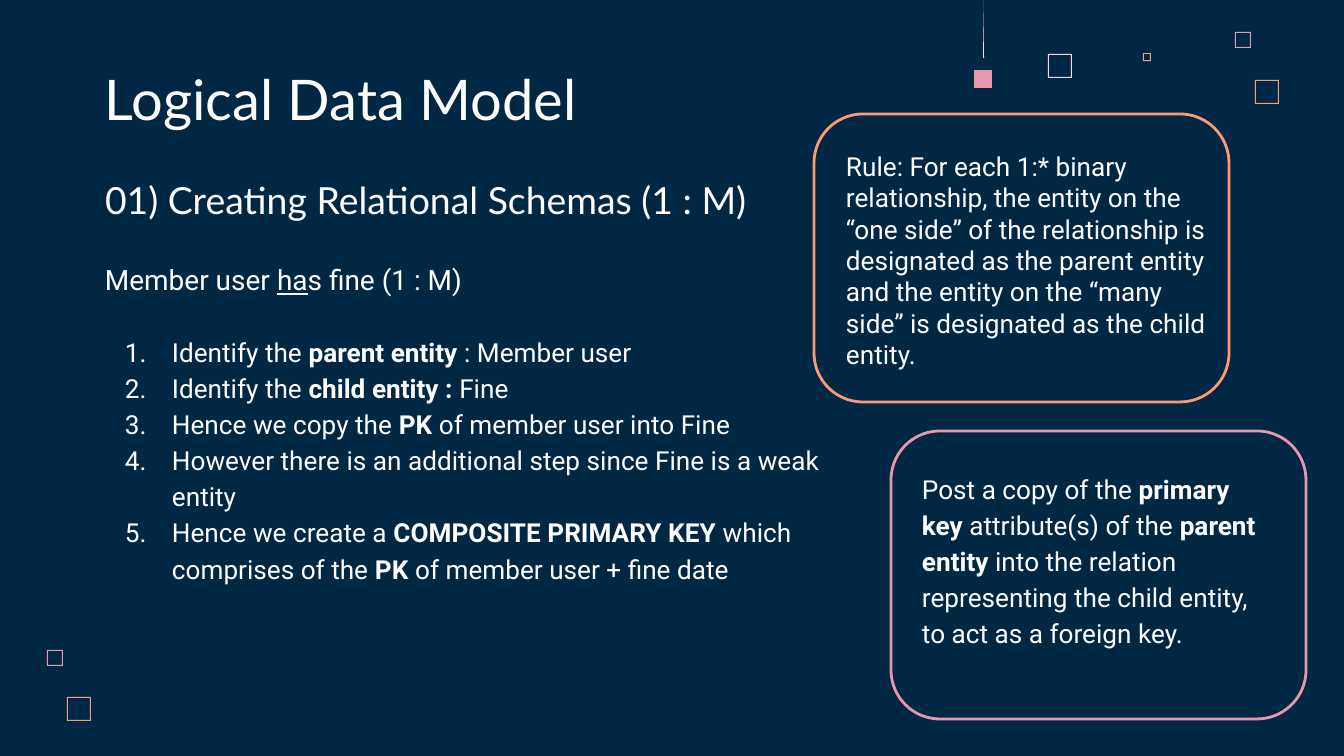
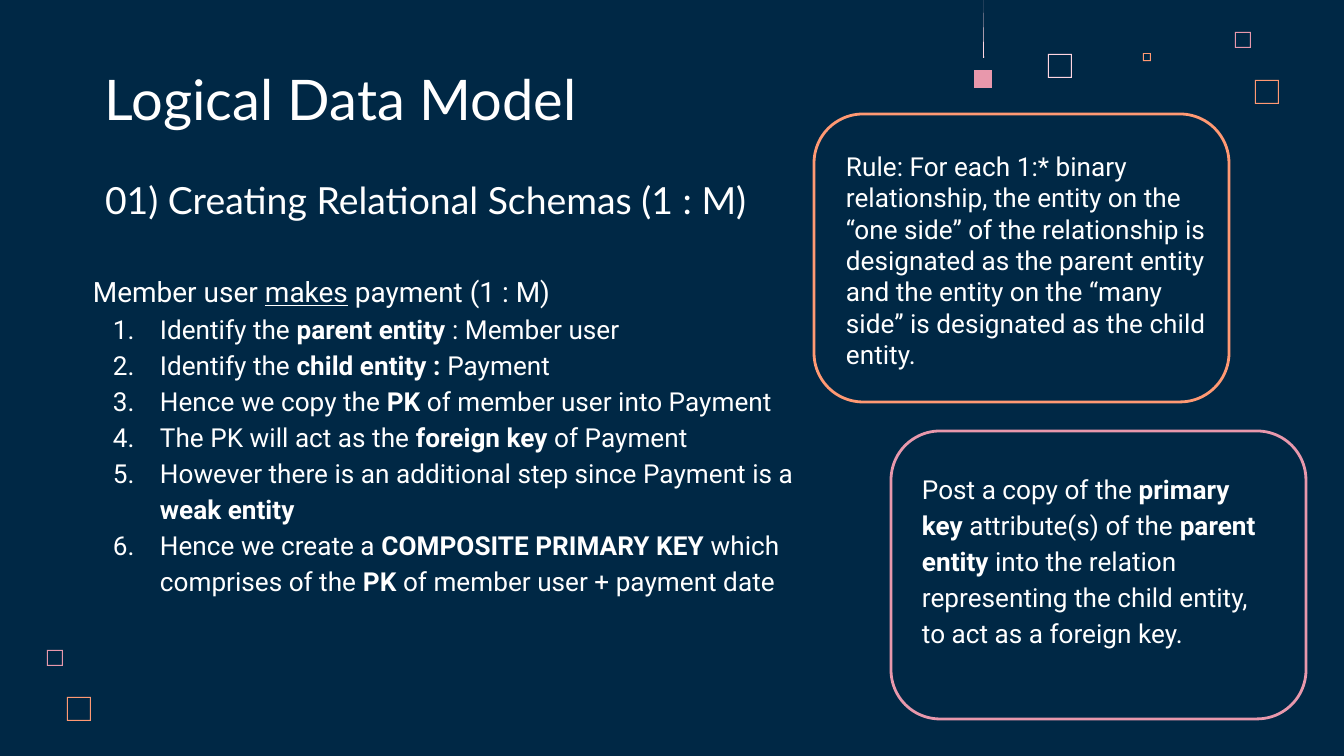
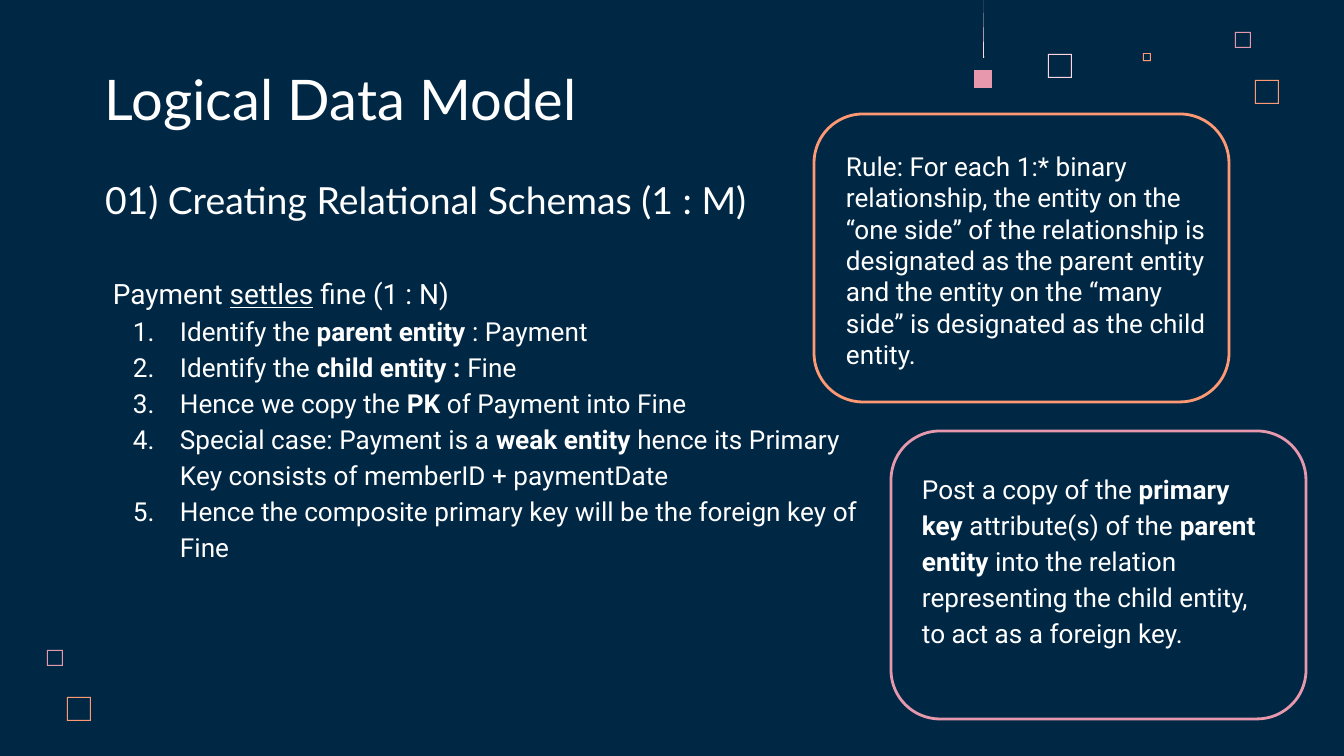
"""Build three slides on relational schemas for one-to-many relationships."""
from lxml import etree
from pptx import Presentation, util as u
from pptx.dml.color import RGBColor
from pptx.enum import shapes, text as t
from pptx.oxml import ns

PX = 914400 / 134.4
INSET = 13
LIST_INDENT, LIST_HANG = 67, 47

NAVY = RGBColor(0x00, 0x28, 0x45)
WHITE = RGBColor(0xFF, 0xFF, 0xFF)
BLUSH = RGBColor(0xFF, 0xD6, 0xE1)
PINK = RGBColor(0xE8, 0x98, 0xAC)
ORANGE = RGBColor(0xFF, 0x99, 0x73)

TITLE = "Logical Data Model"
SUBTITLE = "01) Creating Relational Schemas (1 : M)"
RULE = ("Rule: For each 1:* binary relationship, the entity on the “one side” of the "
        "relationship is designated as the parent entity and the entity on the "
        "“many side” is designated as the child entity.")
POST = ("Post a copy of the **primary key** attribute(s) of the **parent entity** into the "
        "relation representing the child entity, to act as a foreign key.")

RELATIONSHIPS = [
    {
        "box": (92, 245, 772, 387),
        "heading": "Member user **ha**s fine (1 : M)",
        "heading_format": {"spacing": 1.15, "after": 19},
        "steps": [
            "Identify the **parent entity** : Member user",
            "Identify the **child entity : **Fine",
            "Hence we copy the **PK** of member user into Fine",
            "However there is an additional step since Fine is a weak entity",
            "Hence we create a **COMPOSITE PRIMARY KEY **which comprises of the "
            "**PK **of member user + fine date",
        ],
    },
    {
        "box": (80, 245, 772, 387),
        "heading": "Member user **makes** payment (1 : M)",
        "heading_format": {"spacing": 1.5},
        "steps": [
            "Identify the **parent entity** : Member user",
            "Identify the **child entity : **Payment",
            "Hence we copy the **PK** of member user into Payment",
            "The PK will act as the **foreign key **of Payment",
            "However there is an additional step since Payment is a **weak entity**",
            "Hence we create a **COMPOSITE PRIMARY KEY **which comprises of the "
            "**PK **of member user + payment date",
        ],
    },
    {
        "box": (100, 247, 772, 427),
        "heading": "Payment **settles** fine (1 : N)",
        "heading_format": {"spacing": 1.5},
        "steps": [
            "Identify the **parent entity** : Payment",
            "Identify the **child entity : **Fine",
            "Hence we copy the **PK** of Payment into Fine",
            "Special case: Payment is a **weak entity **hence its Primary Key consists of "
            "memberID + paymentDate",
            "Hence the composite primary key will be the foreign key of Fine",
        ],
    },
]

HOLLOW_SQUARES = [
    (1048, 54, 24, BLUSH),
    (1235, 32, 16, PINK),
    (1143, 53, 8, ORANGE),
    (1255, 80, 24, ORANGE),
    (47, 650, 16, PINK),
    (67, 697, 24, ORANGE),
]
PIN_HEAD = (974, 70, 18)
PIN_LINE = [(983, 0), (983, 58), (984, 58)]
CARDS = [(814, 114, ORANGE), (891, 431, PINK)]
CARD_SIZE = (415, 288)


def px(length):
    return u.Emu(round(length * PX))


def square(left, top, side):
    right, bottom = left + side, top + side
    return [(left, top), (left, bottom), (right, bottom), (right, top)]


def add_outline(slide, color, *contours):
    builder = slide.shapes.build_freeform(*contours[0][0], scale=PX)
    builder.add_line_segments(contours[0][1:])
    for contour in contours[1:]:
        builder.move_to(*contour[0])
        builder.add_line_segments(contour[1:])
    shape = builder.convert_to_shape()
    shape.shadow.inherit = False
    shape.fill.solid()
    shape.fill.fore_color.rgb = color
    shape.line.fill.background()


def add_decorations(slide):
    for left, top, side, color in HOLLOW_SQUARES:
        inner = square(left + 1, top + 1, side - 2)
        add_outline(slide, color, square(left, top, side), inner[::-1])
    add_outline(slide, PINK, square(*PIN_HEAD))
    add_outline(slide, BLUSH, PIN_LINE)


def add_frame(slide, box, anchor=t.MSO_ANCHOR.TOP):
    frame = slide.shapes.add_textbox(*map(px, box)).text_frame
    frame.word_wrap = True
    frame.vertical_anchor = anchor
    frame.margin_left = frame.margin_right = px(INSET)
    frame.margin_top = frame.margin_bottom = px(INSET)
    return frame


def write(paragraph, content, size=14, font="Roboto", spacing=1.0, after=0,
          emphasis="bold", numbered=False):
    paragraph.line_spacing = spacing
    paragraph.space_after = u.Pt(after)
    for index, part in enumerate(content.split("**")):
        if part:
            run = paragraph.add_run()
            run.text = part
            run.font.size = u.Pt(size)
            run.font.name = font
            run.font.color.rgb = WHITE
            if index % 2:
                setattr(run.font, emphasis, True)
    if numbered:
        properties = paragraph._p.get_or_add_pPr()
        properties.set("marL", str(px(LIST_INDENT)))
        properties.set("indent", str(-px(LIST_HANG)))
        number = etree.SubElement(properties, ns.qn("a:buAutoNum"))
        number.set("type", "arabicPeriod")


def add_cards(slide):
    for left, top, color in CARDS:
        card = slide.shapes.add_shape(
            shapes.MSO_SHAPE.ROUNDED_RECTANGLE, *map(px, (left, top, *CARD_SIZE)))
        card.shadow.inherit = False
        card.adjustments[0] = 0.17
        card.fill.background()
        card.line.color.rgb = color
        card.line.width = u.Pt(1.5)


def add_relationship(slide, relationship):
    frame = add_frame(slide, relationship["box"])
    write(frame.paragraphs[0], relationship["heading"], size=15, emphasis="underline",
          **relationship["heading_format"])
    for step in relationship["steps"]:
        write(frame.add_paragraph(), step, spacing=1.15, numbered=True)


def main():
    presentation = Presentation()
    presentation.slide_width, presentation.slide_height = px(1344), px(756)
    background = presentation.slide_master.background.fill
    background.solid()
    background.fore_color.rgb = NAVY

    bottom, top = t.MSO_ANCHOR.BOTTOM, t.MSO_ANCHOR.TOP
    shared_texts = [
        (SUBTITLE, (92, 134, 669, 101), bottom, {"size": 20, "font": "Lato"}),
        (TITLE, (92, 60, 554, 85), bottom, {"size": 30, "font": "Lato"}),
        (RULE, (833, 134, 396, 249), bottom, {}),
        (POST, (909, 456, 360, 241), top, {"spacing": 1.15}),
    ]
    for relationship in RELATIONSHIPS:
        slide = presentation.slides.add_slide(presentation.slide_layouts[6])
        add_decorations(slide)
        for content, box, anchor, style in shared_texts:
            write(add_frame(slide, box, anchor).paragraphs[0], content, **style)
        add_cards(slide)
        add_relationship(slide, relationship)
    presentation.save("out.pptx")


if __name__ == "__main__":
    main()
